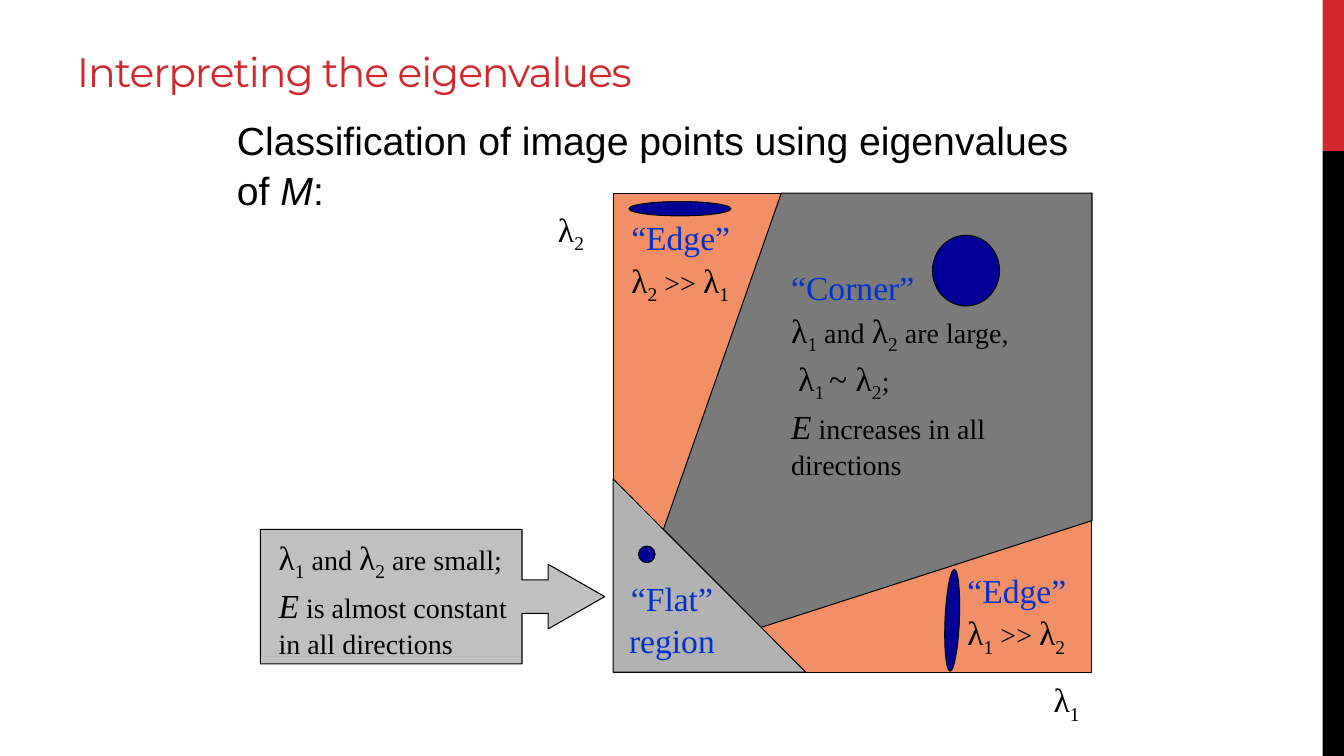
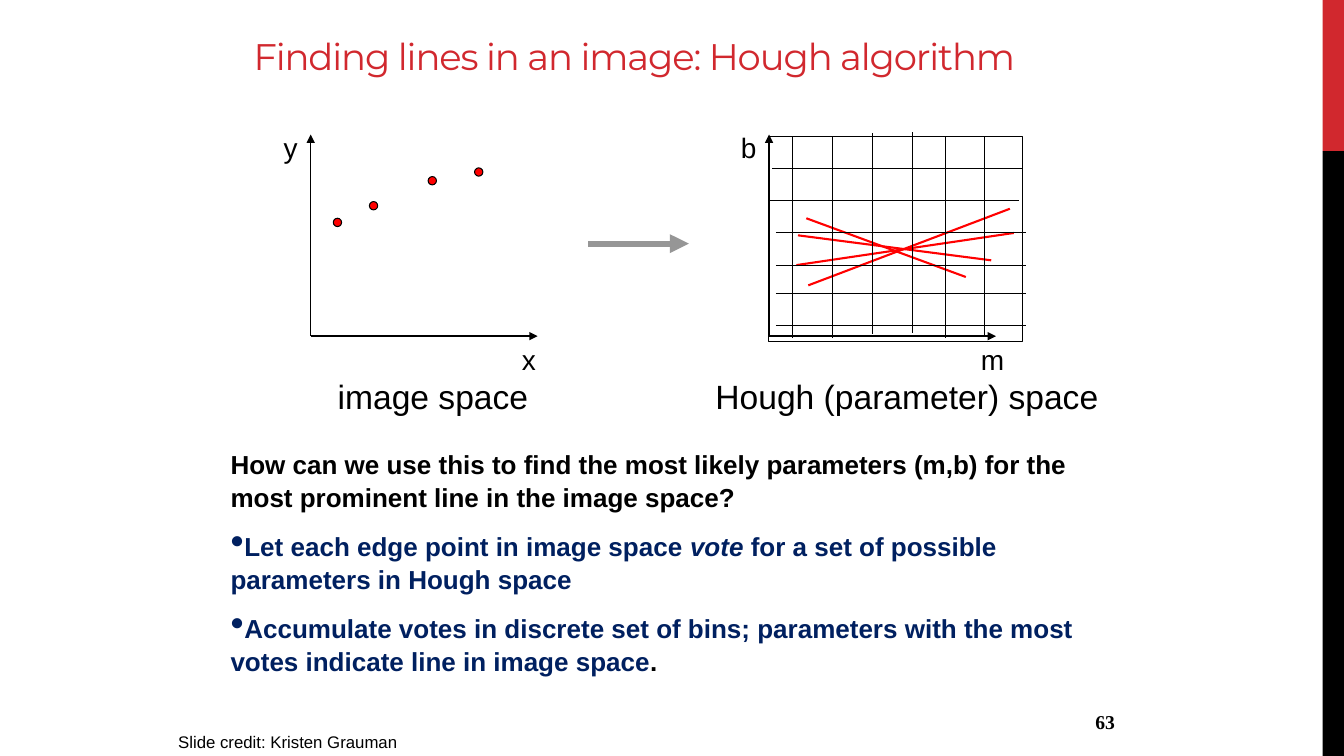
"""Builds two lecture slides on corner eigenvalues and the Hough algorithm."""
from lxml import etree
from pptx import Presentation
from pptx.dml.color import RGBColor
from pptx.enum.shapes import MSO_CONNECTOR, MSO_SHAPE
from pptx.enum.text import MSO_ANCHOR, PP_ALIGN
from pptx.oxml.ns import qn
from pptx.util import Cm, Pt

RECTANGLE, ELLIPSE = MSO_SHAPE.RECTANGLE, MSO_SHAPE.OVAL
TRIANGLE, CALLOUT = MSO_SHAPE.RIGHT_TRIANGLE, MSO_SHAPE.RIGHT_ARROW_CALLOUT
STRAIGHT = MSO_CONNECTOR.STRAIGHT
TOP, MIDDLE = MSO_ANCHOR.TOP, MSO_ANCHOR.MIDDLE
LEFT, CENTER, RIGHT = PP_ALIGN.LEFT, PP_ALIGN.CENTER, PP_ALIGN.RIGHT

SLIDE_WIDTH, SLIDE_HEIGHT = 33.87, 19.05
BAND_LEFT, BAND_SPLIT = 33.33, 3.81
LINE_SPACING = 1.05
BLACK, ACCENT, RED, NAVY = "000000", "D1282E", "FF0000", "000099"
ORANGE, DARK_GREY, MID_GREY = "F38F67", "7A7A7A", "B2B2B2"
CALLOUT_GREY, ARROW_GREY = "C0C0C0", "969696"

SERIF, SANS = {"name": "Times New Roman"}, {"name": "Arial"}
STYLES = {
    "title": {"name": "Montserrat", "size": 29.3, "color": ACCENT, "spc": -80},
    "small title": {"name": "Montserrat", "size": 26.4, "color": ACCENT, "spc": -80},
    "symbol": {**SERIF, "size": 24},
    "sub": {**SERIF, "size": 24, "baseline": -25000},
    "word": {**SERIF, "size": 20},
    "variable": {**SERIF, "size": 24, "italic": True},
    "region": {**SERIF, "size": 24, "color": "0033CC"},
    "number": {**SERIF, "size": 14, "bold": True},
    "lead": {**SANS, "size": 28},
    "lead italic": {**SANS, "size": 28, "italic": True},
    "axis": {**SANS, "size": 20},
    "caption": {**SANS, "size": 24},
    "credit": {**SANS, "size": 12},
    "body": {**SANS, "size": 18.6, "bold": True},
    "point": {**SANS, "size": 18.6, "bold": True, "color": "002060"},
    "point italic": {**SANS, "size": 18.6, "bold": True, "italic": True, "color": "002060"},
}

LAMBDA_1 = [("λ", "symbol"), ("1", "sub")]
LAMBDA_2 = [("λ", "symbol"), ("2", "sub")]
AND, MUCH_LARGER = [(" and ", "word")], [(" >> ", "word")]
EDGE = [("“Edge”", "region")]

SQUARE = (15.45, 4.87, 12.07, 12.07)
CORNER_REGION = [(16.72, 13.34), (19.69, 4.87), (27.52, 4.87), (27.52, 13.12), (19.18, 15.81)]
FLAT_REGION = (15.45, 12.07, 4.86, 4.87)
SMALL_CALLOUT = (6.56, 13.34, 8.68, 3.39)
CALLOUT_ADJUSTMENTS = (0.25, 0.24, 0.42, 0.76)
EIGENVALUE_TEXTS = [
    ((25.82, 16.93, 2.12, 1.27), CENTER, [LAMBDA_1]),
    ((12.91, 5.08, 2.96, 1.27), CENTER, [LAMBDA_2]),
    ((19.69, 6.56, 7.41, 5.2), LEFT, [
        [("“Corner”", "region")],
        LAMBDA_1 + AND + LAMBDA_2 + [(" are large,", "word")],
        [(" ", "word"), ("λ", "symbol"), ("1 ", "sub"), ("~ ", "symbol")]
        + LAMBDA_2 + [(";", "word")],
        [("E", "variable"), (" increases in all directions", "word")],
    ]),
    ((6.77, 13.34, 6.56, 3.18), LEFT, [
        LAMBDA_1 + AND + LAMBDA_2 + [(" are small;", "word")],
        [("E", "variable"), (" is almost constant in all directions", "word")],
    ]),
    ((24.13, 14.18, 3.6, 2.31), LEFT, [EDGE, LAMBDA_1 + MUCH_LARGER + LAMBDA_2]),
    ((15.66, 5.29, 3.6, 2.31), LEFT, [EDGE, LAMBDA_2 + MUCH_LARGER + LAMBDA_1]),
    ((15.24, 14.39, 3.39, 2.31), CENTER, [[("“Flat” region", "region")]]),
    ((5.72, 2.75, 22.22, 2.61), LEFT, [[
        ("Classification of image points using eigenvalues of ", "lead"),
        ("M", "lead italic"), (":", "lead"),
    ]]),
]
EIGENVALUE_ELLIPSES = [
    ((23.5, 5.93, 1.69, 1.78), 0),
    ((15.85, 5.08, 2.57, 0.36), 0),
    ((16.09, 13.76, 0.42, 0.42), 0),
    ((22.71, 15.45, 2.57, 0.36), 92.4),
]

AXIS_BOTTOM, AXIS_HEIGHT, AXIS_WIDTH = 8.47, 5.08, 5.72
AXIS_ORIGINS = (7.83, 19.38)
SPACE_LABELS = [
    ("x", "axis", (12.9, 8.47, 0.87, 1.08)),
    ("y", "axis", (6.9, 3.11, 0.87, 1.08)),
    ("m", "axis", (24.47, 8.47, 1.08, 1.08)),
    ("b", "axis", (18.42, 3.11, 0.9, 1.08)),
    ("image space", "caption", (8.26, 9.31, 5.31, 1.27)),
    ("Hough (parameter) space", "caption", (17.78, 9.31, 10.26, 1.27)),
]
DOT_SIZE = 0.21
EDGE_POINTS = [(9.31, 5.08), (10.79, 4.45), (8.4, 5.5), (11.96, 4.23)]
SPACE_ARROW = (14.82, 6.14, 17.36, 6.14)
VOTE_LINES = [
    (20.32, 5.5, 24.34, 6.98),
    (20.11, 5.93, 24.98, 6.56),
    (20.37, 7.19, 25.45, 5.26),
    (20.07, 6.68, 25.55, 5.87),
]
GRID_FRAME = (19.37, 3.43, 6.4, 5.18)
ROW_LENGTH, COLUMN_LENGTH = 6.3, 5.07
GRID_ROWS = [(19.46, 4.24), (19.37, 5.05), (19.55, 5.87), (19.55, 6.68), (19.55, 7.39), (19.55, 8.2)]
GRID_COLUMNS = [(19.96, 3.45), (20.98, 3.45), (21.99, 3.35), (22.99, 3.33), (23.82, 3.45), (24.82, 3.43)]
HOUGH_BODY = [
    (False, [("How can we use this to find the most likely parameters (m,b) for the "
              "most prominent line in the image space?", "body")]),
    (True, [("Let each edge point in image space ", "point"), ("vote ", "point italic"),
            ("for a set of possible parameters in Hough space", "point")]),
    (True, [("Accumulate votes in discrete set of bins; parameters with the most votes "
             "indicate line in image space", "point"), (".", "body")]),
]


def color(value):
    return RGBColor.from_string(value)


def lengths(values):
    return [Cm(value) for value in values]


def paint(shape, fill=None, line=None):
    shape.shadow.inherit = False
    if fill:
        shape.fill.solid()
        shape.fill.fore_color.rgb = color(fill)
    else:
        shape.fill.background()
    if line:
        shape.line.color.rgb = color(line)
        shape.line.width = Pt(0.75)
    else:
        shape.line.fill.background()
    return shape


def add_figure(slide, kind, box, fill=None, line=BLACK):
    return paint(slide.shapes.add_shape(kind, *lengths(box)), fill, line)


def add_line(slide, ends, width=0.75, stroke=BLACK, arrow=False):
    connector = slide.shapes.add_connector(STRAIGHT, *lengths(ends))
    connector.line.width = Pt(width)
    connector.line.color.rgb = color(stroke)
    if arrow:
        outline = connector.line._get_or_add_ln()
        etree.SubElement(outline, qn("a:tailEnd"), type="triangle")
    etree.SubElement(connector._element.spPr, qn("a:effectLst"))


def add_run(paragraph, text, style):
    run = paragraph.add_run()
    run.text = text
    values = dict(STYLES[style])
    run.font.color.rgb = color(values.pop("color", BLACK))
    run.font.size = Pt(values.pop("size"))
    for key, value in values.items():
        if key in ("spc", "baseline"):
            run._r.get_or_add_rPr().set(key, str(value))
        else:
            setattr(run.font, key, value)


def add_frame(slide, box, anchor=TOP, wrap=True):
    frame = slide.shapes.add_textbox(*lengths(box)).text_frame
    for key, value in {"word_wrap": wrap, "vertical_anchor": anchor}.items():
        setattr(frame, key, value)
    return frame


def add_text(slide, box, lines, align=LEFT, anchor=TOP, wrap=True):
    paragraph = add_frame(slide, box, anchor, wrap).paragraphs[0]
    paragraph.alignment = align
    paragraph.line_spacing = LINE_SPACING
    for index, line in enumerate(lines):
        if index:
            paragraph.add_line_break()
        for text, style in line:
            add_run(paragraph, text, style)


def add_body(slide, box, items):
    frame = add_frame(slide, box)
    for index, (bulleted, segments) in enumerate(items):
        paragraph = frame.add_paragraph() if index else frame.paragraphs[0]
        spacing = {"line_spacing": LINE_SPACING, "space_after": Pt(8),
                   "space_before": Pt(3.7 if index else 0)}
        for key, value in spacing.items():
            setattr(paragraph, key, value)
        if bulleted:
            properties = paragraph._p.get_or_add_pPr()
            etree.SubElement(properties, qn("a:buSzPct"), val="150000")
            etree.SubElement(properties, qn("a:buChar"), char="•")
        for text, style in segments:
            add_run(paragraph, text, style)


def add_slide(presentation, title, style, box):
    slide = presentation.slides.add_slide(presentation.slide_layouts[6])
    width = SLIDE_WIDTH - BAND_LEFT
    bands = [(0, BAND_SPLIT, ACCENT), (BAND_SPLIT, SLIDE_HEIGHT - BAND_SPLIT, BLACK)]
    for top, height, fill in bands:
        add_figure(slide, RECTANGLE, (BAND_LEFT, top, width, height), fill, None)
    add_text(slide, box, [[(title, style)]], anchor=MIDDLE)
    return slide


def build_eigenvalues(presentation):
    slide = add_slide(presentation, "Interpreting the eigenvalues", "title",
                      (1.69, 0.42, 30.43, 2.69))
    callout = add_figure(slide, CALLOUT, SMALL_CALLOUT, CALLOUT_GREY)
    for index, value in enumerate(CALLOUT_ADJUSTMENTS):
        callout.adjustments[index] = value
    add_figure(slide, RECTANGLE, SQUARE, ORANGE)
    start, *others = [lengths(point) for point in CORNER_REGION]
    builder = slide.shapes.build_freeform(*start)
    builder.add_line_segments(others, close=True)
    paint(builder.convert_to_shape(), DARK_GREY, BLACK)
    add_figure(slide, TRIANGLE, FLAT_REGION, MID_GREY)
    for box, align, lines in EIGENVALUE_TEXTS:
        add_text(slide, box, lines, align)
    for box, rotation in EIGENVALUE_ELLIPSES:
        add_figure(slide, ELLIPSE, box, NAVY).rotation = rotation


def build_hough(presentation):
    slide = add_slide(presentation, "Finding lines in an image: Hough algorithm",
                      "small title", (6.14, 0.21, 23.5, 2.33))
    add_body(slide, (5.56, 11.15, 23.22, 5.28), HOUGH_BODY)
    for left in AXIS_ORIGINS:
        for right, top in [(left, AXIS_BOTTOM - AXIS_HEIGHT), (left + AXIS_WIDTH, AXIS_BOTTOM)]:
            add_line(slide, (left, AXIS_BOTTOM, right, top), 1, arrow=True)
    for text, style, box in SPACE_LABELS:
        add_text(slide, box, [[(text, style)]], wrap=False)
    for left, top in EDGE_POINTS:
        add_figure(slide, ELLIPSE, (left, top, DOT_SIZE, DOT_SIZE), RED)
    add_line(slide, SPACE_ARROW, 4.5, ARROW_GREY, True)
    for ends in VOTE_LINES:
        add_line(slide, ends, 1.5, RED)
    add_figure(slide, RECTANGLE, GRID_FRAME)
    for left, top in GRID_ROWS:
        add_line(slide, (left, top, left + ROW_LENGTH, top))
    for left, top in GRID_COLUMNS:
        add_line(slide, (left, top, left, top + COLUMN_LENGTH))
    add_text(slide, (22.43, 17.65, 5.92, 1.02), [[("63", "number")]], RIGHT, MIDDLE)
    add_text(slide, (4.24, 18.29, 16.51, 0.76), [[("Slide credit: Kristen Grauman", "credit")]])


def main():
    presentation = Presentation()
    presentation.slide_width, presentation.slide_height = lengths((SLIDE_WIDTH, SLIDE_HEIGHT))
    build_eigenvalues(presentation)
    build_hough(presentation)
    presentation.save("out.pptx")


if __name__ == "__main__":
    main()
